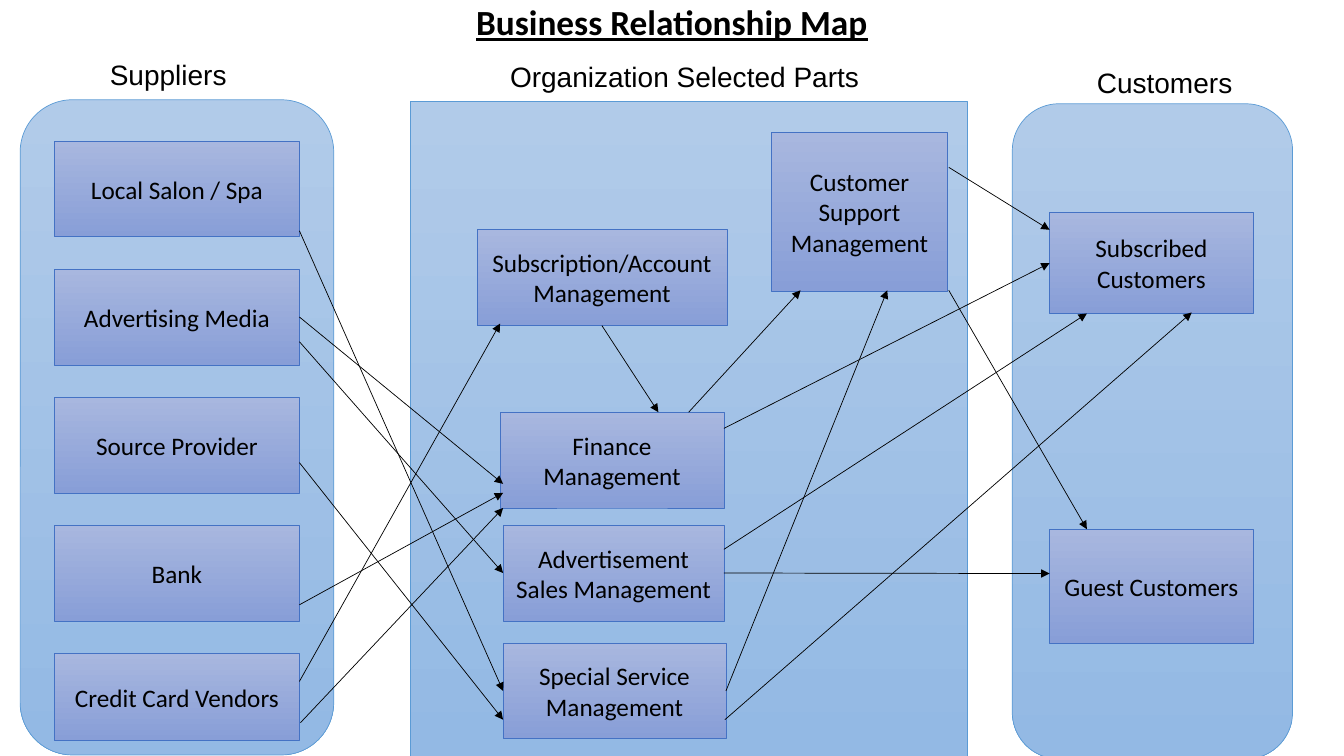
"""Build the Business Relationship Map slide."""
from pptx import Presentation
from pptx.dml.color import RGBColor
from pptx.enum.shapes import MSO_CONNECTOR, MSO_SHAPE
from pptx.enum.text import MSO_ANCHOR, PP_ALIGN
from pptx.oxml.ns import qn
from pptx.util import Inches, Pt
from lxml import etree

RECT, ROUNDED = MSO_SHAPE.RECTANGLE, MSO_SHAPE.ROUNDED_RECTANGLE
STRAIGHT = MSO_CONNECTOR.STRAIGHT
LEFT, CENTER = PP_ALIGN.LEFT, PP_ALIGN.CENTER
TOP, MIDDLE, BOTTOM = MSO_ANCHOR.TOP, MSO_ANCHOR.MIDDLE, MSO_ANCHOR.BOTTOM
LEFT_SIDE, BOTTOM_SIDE, RIGHT_SIDE = 1, 2, 3

COLORS = {
    "text": "000000", "arrow": "000000",
    "group_top": "B1CBE9", "group_bottom": "93B9E4", "group_line": "5B9BD5",
    "party_top": "A8B7DF", "party_bottom": "889ED7", "party_line": "4472C4",
}
TITLE_FONT = {"name": "Calibri", "size": Pt(25.2), "bold": True, "underline": True}
HEADING_FONT = {"name": "Arial", "size": Pt(20)}
PARTY_FONT = {"name": "Calibri", "size": Pt(18)}

GROUPS = [
    (ROUNDED, (0.2, 0.99, 3.11, 6.5)),
    (RECT, (4.07, 1.01, 5.52, 6.49)),
    (ROUNDED, (10.04, 1.03, 2.78, 6.5)),
]
HEADINGS = [
    ("Suppliers", (0.99, 0.52, 1.98, 0.44)),
    ("Organization Selected Parts", (4.96, 0.54, 3.69, 0.44)),
    ("Customers", (10.78, 0.6, 1.56, 0.44)),
]
SUPPLIERS = ["Local Salon / Spa", "Advertising Media", "Source Provider",
             "Bank", "Credit Card Vendors"]
SUPPLIER_TOP, SUPPLIER_PITCH = 1.4, 1.27
SUBSCRIPTION = "Subscription/Account Management"
FINANCE = "Finance Management"
SALES = "Advertisement Sales Management"
SERVICE = "Special Service Management"
SUPPORT = "Customer Support Management"
SUBSCRIBED = "Subscribed Customers"
PARTIES = {
    SUBSCRIPTION: (4.73, 2.28, 2.48, 0.95),
    FINANCE: (4.96, 4.09, 2.22, 0.95),
    SALES: (4.99, 5.21, 2.19, 0.95),
    SERVICE: (4.99, 6.38, 2.21, 0.95),
    SUPPORT: (7.65, 1.31, 1.75, 1.58),
    SUBSCRIBED: (10.41, 2.11, 2.02, 1),
    "Guest Customers": (10.41, 5.25, 2.02, 1.13),
}
FLOWS = [
    ((2.97, 2.29), (SERVICE, LEFT_SIDE)),
    (("Advertising Media", RIGHT_SIDE), (4.99, 4.8)),
    ((2.97, 3.39), (SALES, LEFT_SIDE)),
    ((2.97, 4.59), (4.99, 7.14)),
    ((2.97, 6), (4.99, 4.89)),
    ((2.97, 6.76), (4.96, 3.21)),
    ((2.98, 7.17), (4.99, 5.04)),
    ((SUBSCRIPTION, BOTTOM_SIDE), (6.53, 4.09)),
    ((6.83, 4.09), (7.94, 2.88)),
    ((7.18, 4.25), (SUBSCRIBED, LEFT_SIDE)),
    ((7.18, 5.45), (10.78, 3.11)),
    ((SALES, RIGHT_SIDE), (10.41, 5.69)),
    ((SERVICE, RIGHT_SIDE), (8.8, 2.88)),
    ((7.19, 7.14), (11.82, 3.1)),
    ((9.41, 1.66), (10.41, 2.28)),
    ((9.41, 2.88), (10.78, 5.25)),
]


def color(key):
    """Return a palette colour."""
    return RGBColor.from_string(COLORS[key])


def write(shape, text, font, align, anchor, spacing=1.0):
    """Put one formatted paragraph into a shape."""
    frame = shape.text_frame
    frame.word_wrap = True
    frame.vertical_anchor = anchor
    paragraph = frame.paragraphs[0]
    paragraph.alignment = align
    paragraph.line_spacing = spacing
    run = paragraph.add_run()
    run.text = text
    for attribute, value in font.items():
        setattr(run.font, attribute, value)
    run.font.color.rgb = color("text")


def add_label(slide, text, box, font, align, anchor, spacing=1.0):
    """Add text without a frame."""
    label = slide.shapes.add_textbox(*map(Inches, box))
    write(label, text, font, align, anchor, spacing)


def add_panel(slide, outline, box, role):
    """Add a shape shaded from top to bottom."""
    panel = slide.shapes.add_shape(outline, *map(Inches, box))
    panel.shadow.inherit = False
    panel.fill.gradient()
    panel.fill.gradient_angle = 270
    for stop, end in zip(panel.fill.gradient_stops, ("top", "bottom")):
        stop.color.rgb = color(f"{role}_{end}")
    panel.line.color.rgb = color(f"{role}_line")
    panel.line.width = Pt(0.5)
    return panel


def add_party(slide, text, box):
    """Add a named business party."""
    party = add_panel(slide, RECT, box, "party")
    write(party, text, PARTY_FONT, CENTER, MIDDLE)
    return party


def add_flow(slide, start, end, parties):
    """Add an arrow between points or sides of parties."""
    points = [(0, 0) if isinstance(place[0], str) else place for place in (start, end)]
    flow = slide.shapes.add_connector(STRAIGHT, *map(Inches, points[0] + points[1]))
    for place, join in ((start, flow.begin_connect), (end, flow.end_connect)):
        if isinstance(place[0], str):
            join(parties[place[0]], place[1])
    flow.line.color.rgb = color("arrow")
    flow.line.width = Pt(0.5)
    etree.SubElement(flow.line._get_or_add_ln(), qn("a:tailEnd"), type="triangle")
    etree.SubElement(flow._element.spPr, qn("a:effectLst"))


def main():
    """Build and save the slide."""
    deck = Presentation()
    deck.slide_width, deck.slide_height = Inches(13.33), Inches(7.5)
    slide = deck.slides.add_slide(deck.slide_layouts[6])
    add_label(slide, "Business Relationship Map", (0, 0, 13.33, 0.48),
              TITLE_FONT, CENTER, BOTTOM, 0.9)
    for outline, box in GROUPS:
        add_panel(slide, outline, box, "group")
    for text, box in HEADINGS:
        add_label(slide, text, box, HEADING_FONT, LEFT, TOP)
    boxes = dict(PARTIES)
    for row, supplier in enumerate(SUPPLIERS):
        height = 0.87 if supplier == SUPPLIERS[-1] else 0.95
        boxes[supplier] = (0.54, SUPPLIER_TOP + row * SUPPLIER_PITCH, 2.43, height)
    parties = {text: add_party(slide, text, box) for text, box in boxes.items()}
    for start, end in FLOWS:
        add_flow(slide, start, end, parties)
    deck.save("out.pptx")


if __name__ == "__main__":
    main()
